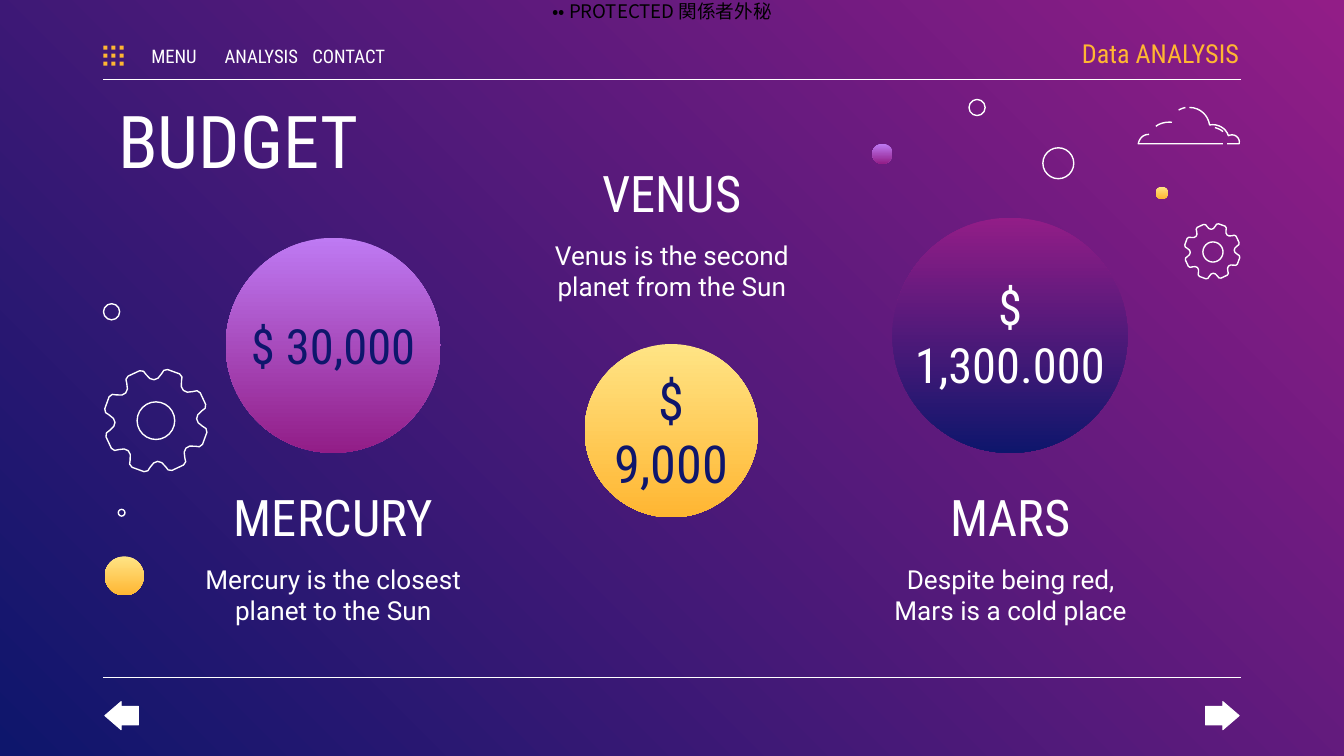
"""Build the budget slide with three planets, a menu bar and line decorations."""
from math import cos, radians, sin

from lxml import etree
from pptx import Presentation
from pptx.dml.color import RGBColor
from pptx.enum.shapes import MSO_CONNECTOR, MSO_SHAPE
from pptx.enum.text import MSO_ANCHOR, MSO_AUTO_SIZE, PP_ALIGN
from pptx.oxml.ns import qn
from pptx.util import Inches, Pt

LEFT, CENTER, RIGHT = PP_ALIGN.LEFT, PP_ALIGN.CENTER, PP_ALIGN.RIGHT
TOP, MIDDLE = MSO_ANCHOR.TOP, MSO_ANCHOR.MIDDLE
WHITE, NAVY, MAGENTA, AMBER = "FFFFFF", "0E166C", "921D87", "FFB632"
LILAC, CREAM, BLACK = "BE7AF3", "FFE485", "000000"
CONDENSED, ROBOTO, CJK = "Roboto Condensed", "Roboto", "Noto Sans CJK JP"
color = RGBColor.from_string


def fill_gradient(fill, start, end, angle):
    fill.gradient()
    fill.gradient_angle = angle
    for stop, value in zip(fill.gradient_stops, (start, end)):
        stop.color.rgb = color(value)


def write(frame, text, size, font=CONDENSED, value=WHITE, align=CENTER,
          anchor=MIDDLE, insets=(0.1, 0.1, 0.1, 0.1)):
    sides = ("margin_left", "margin_top", "margin_right", "margin_bottom")
    layout = dict(zip(sides, map(Inches, insets)), word_wrap=True,
                  vertical_anchor=anchor, auto_size=MSO_AUTO_SIZE.NONE)
    for name, setting in layout.items():
        setattr(frame, name, setting)
    para = frame.paragraphs[0]
    para.text = text
    para.alignment = align
    for span in para.runs:
        for name, setting in {"size": Pt(size), "name": font}.items():
            setattr(span.font, name, setting)
        span.font.color.rgb = color(value)


deck = Presentation()
deck.slide_width, deck.slide_height = Inches(10), Inches(10 * 9 / 16)
page = deck.slides.add_slide(deck.slide_layouts[5])
shapes = page.shapes
fill_gradient(page.background.fill, MAGENTA, NAVY, 225)

for y in (0.59, 5.04):
    rule = shapes.add_connector(MSO_CONNECTOR.STRAIGHT, Inches(0.77), Inches(y),
                                Inches(9.23), Inches(y))
    rule.line.color.rgb = color(WHITE)
    rule.line.width = Pt(0.75)
    etree.SubElement(rule._element.spPr, qn("a:effectLst"))

title = shapes.title
title.left, title.top = Inches(0.78), Inches(0.61)
title.width, title.height = Inches(8.44), Inches(0.66)
write(title.text_frame, "BUDGET", 39, align=LEFT, anchor=TOP)

planets = [
    (1.68, 1.77, 1.6, LILAC, MAGENTA, "$ 30,000", 26, NAVY),
    (4.35, 2.56, 1.29, CREAM, AMBER, "$ 9,000", 28, NAVY),
    (6.64, 1.62, 1.75, MAGENTA, NAVY, "$ 1,300.000", 26, WHITE),
    (0.78, 4.14, 0.29, CREAM, AMBER, "", 10, WHITE),
    (8.6, 1.39, 0.09, CREAM, AMBER, "", 10, WHITE),
    (6.49, 1.07, 0.15, LILAC, MAGENTA, "", 10, WHITE),
]
for x, y, size, start, end, amount, points, value in planets:
    radius = size / 2
    edge = [(Inches(x + radius + radius * cos(radians(angle))),
             Inches(y + radius + radius * sin(radians(angle))))
            for angle in range(0, 360, 3)]
    builder = shapes.build_freeform(*edge[0])
    builder.add_line_segments(edge[1:], close=True)
    planet = builder.convert_to_shape()
    planet.shadow.inherit = False
    planet.line.fill.background()
    fill_gradient(planet.fill, start, end, 270)
    if amount:
        write(planet.text_frame, amount, points, value=value)

labels = [
    (4.1, 0, 1.65, 0.17, "•• PROTECTED 関係者外秘", 10,
     {"font": CJK, "value": BLACK, "anchor": TOP, "insets": (0, 0, 0, 0)}),
    (7.72, 0.23, 1.5, 0.33, "Data ANALYSIS", 14,
     {"value": AMBER, "align": RIGHT, "insets": (0.1, 0.1, 0, 0.1)}),
]
for index, item in enumerate(("MENU", "ANALYSIS", "CONTACT")):
    labels.append((1.01 + 0.65 * index, 0.3, 0.57, 0.23, item, 10,
                   {"insets": (0, 0.1, 0, 0.1)}))
facts = [
    (1.4, 3.68, "MERCURY", "Mercury is the closest planet to the Sun"),
    (6.44, 3.68, "MARS", "Despite being red, Mars is a cold place"),
    (3.92, 1.27, "VENUS", "Venus is the second planet from the Sun"),
]
for x, y, name, fact in facts:
    labels.append((x, y, 2.16, 0.33, name, 27, {}))
    labels.append((x, y + 0.41, 2.16, 0.59, fact, 14,
                   {"font": ROBOTO, "anchor": TOP}))
for x, y, width, height, text, size, style in labels:
    box = shapes.add_textbox(Inches(x), Inches(y), Inches(width), Inches(height))
    write(box.text_frame, text, size, **style)

for kind, x in ((MSO_SHAPE.LEFT_ARROW, 0.78), (MSO_SHAPE.RIGHT_ARROW, 8.97)):
    arrow = shapes.add_shape(kind, Inches(x), Inches(5.22), Inches(0.25), Inches(0.21))
    arrow.adjustments[0], arrow.adjustments[1] = 0.66, 0.58
    arrow.shadow.inherit = False
    arrow.fill.solid()
    arrow.fill.fore_color.rgb = color(WHITE)
    arrow.line.color.rgb = color(WHITE)
    arrow.line.width = Pt(0.5)

menu_icon = shapes.add_group_shape()
for index in range(9):
    column, row = divmod(index, 3)
    dot = menu_icon.shapes.add_shape(
        MSO_SHAPE.RECTANGLE, Inches(0.77 + 0.06 * column),
        Inches(0.34 + 0.06 * row), Inches(0.03), Inches(0.03))
    dot.shadow.inherit = False
    dot.fill.solid()
    dot.fill.fore_color.rgb = color(AMBER)
    dot.line.fill.background()

outlined = []
rings = [(7.21, 0.74, 0.12), (0.77, 2.26, 0.12), (7.76, 1.1, 0.23),
         (0.88, 3.79, 0.05), (1.02, 2.99, 0.28), (8.95, 1.8, 0.15)]
for x, y, size in rings:
    outlined.append(shapes.add_shape(MSO_SHAPE.OVAL, Inches(x), Inches(y),
                                     Inches(size), Inches(size)))

strokes = []
tooth = [(-22.5, 0.78), (-17, 0.81), (-13, 0.9), (-11, 0.97), (-7, 1),
         (7, 1), (11, 0.97), (13, 0.9), (17, 0.81)]
for x, y, radius in ((1.16, 3.13, 0.39), (9.02, 1.87, 0.21)):
    rim = []
    for index in range(8):
        for turn, reach in tooth:
            angle = radians(20 + 45 * index + turn)
            rim.append((x + radius * reach * cos(angle),
                        y + radius * reach * sin(angle)))
    strokes.append((rim, True))

cloud_curves = [
    [(8.85, 0.8), (8.93, 0.8), (8.99, 0.86), (9, 0.93), (9.06, 0.92),
     (9.12, 0.95), (9.14, 1.01), (9.18, 0.99), (9.23, 1.02), (9.22, 1.07)],
    [(8.82, 0.8), (8.82, 0.8), (8.78, 0.81), (8.77, 0.82)],
    [(8.47, 1.07), (8.47, 1.07), (8.48, 1), (8.55, 1)],
    [(9.04, 0.95), (9.04, 0.95), (9.08, 0.96), (9.1, 0.98)],
    [(8.72, 0.91), (8.72, 0.91), (8.65, 0.9), (8.6, 0.94)],
]
for curve in cloud_curves:
    trail = [curve[0]]
    for first in range(0, len(curve) - 1, 3):
        for step in range(1, 9):
            t = step / 8
            weights = ((1 - t) ** 3, 3 * t * (1 - t) ** 2, 3 * t * t * (1 - t), t ** 3)
            controls = list(zip(weights, curve[first:first + 4]))
            trail.append(tuple(sum(weight * point[axis] for weight, point in controls)
                               for axis in (0, 1)))
    strokes.append((trail, False))
strokes[2][0].append((9.13, 1.07))
strokes[4][0].insert(0, (9.1, 1.07))

for trail, closed in strokes:
    corners = [(Inches(x), Inches(y)) for x, y in trail]
    builder = shapes.build_freeform(*corners[0])
    builder.add_line_segments(corners[1:], close=closed)
    outlined.append(builder.convert_to_shape())

for outline in outlined:
    outline.shadow.inherit = False
    outline.fill.background()
    outline.line.color.rgb = color(WHITE)
    outline.line.width = Pt(0.75)

deck.save("out.pptx")
